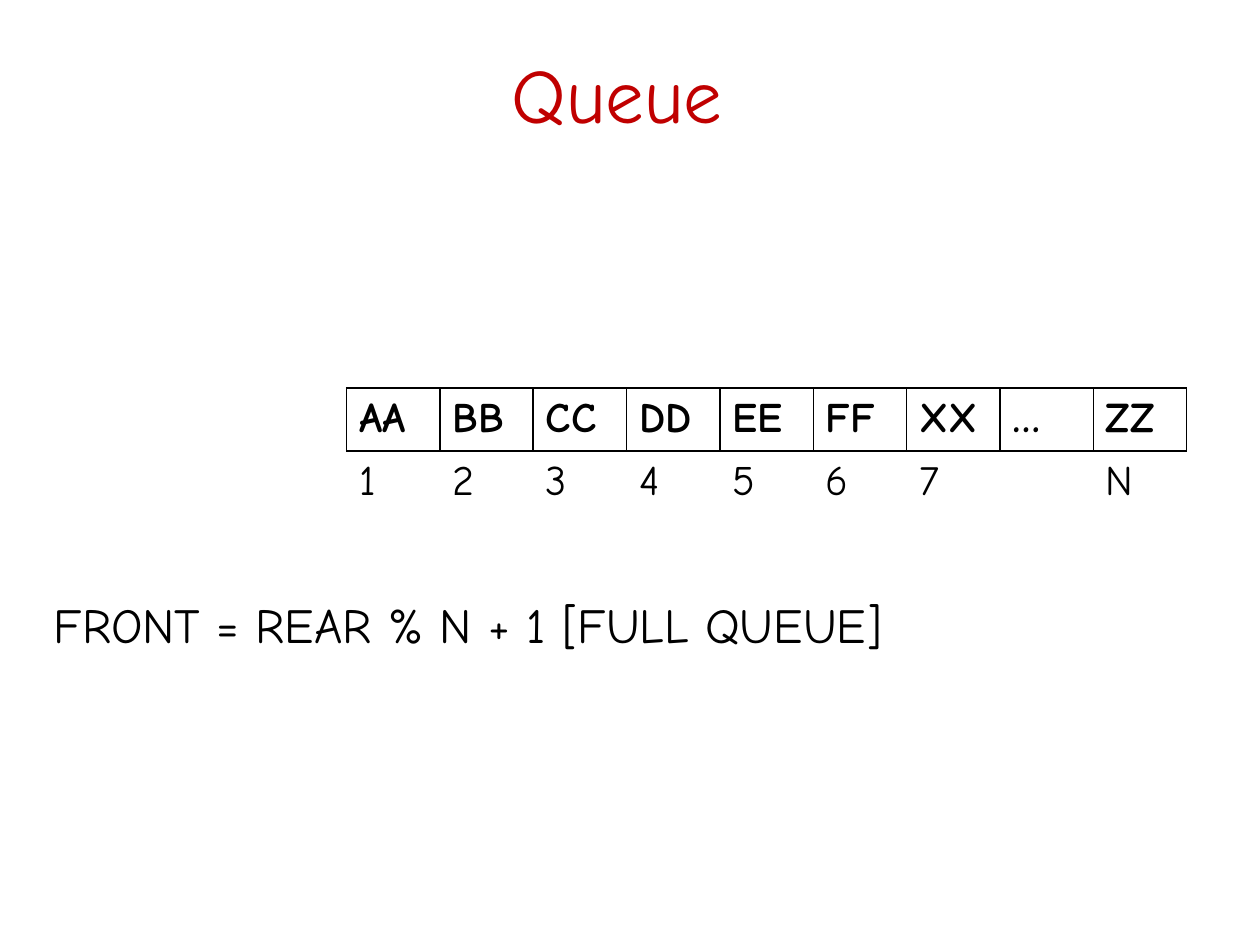
from lxml.etree import SubElement
from pptx import Presentation
from pptx.dml.color import RGBColor
from pptx.enum.text import MSO_ANCHOR as Anchor, PP_ALIGN as Align
from pptx.oxml.ns import qn
from pptx.util import Inches, Pt

BLACK = "000000"
RED = "C00000"


def colour(value):
    return RGBColor.from_string(value)


class SlideBuilder:
    """Holds the text style and the slide being filled."""

    font_name = "Comic Neue"

    def __init__(self, slide):
        self.slide = slide

    def run(self, paragraph, text, size, color=BLACK, bold=False):
        run = paragraph.add_run()
        run.text = text
        run.font.name = self.font_name
        run.font.size = Pt(size)
        run.font.bold = bold
        run.font.color.rgb = colour(color)

    def text(self, text, left, top, width, height, size, color=BLACK,
             align=Align.LEFT, anchor=Anchor.TOP):
        box = self.slide.shapes.add_textbox(
            Inches(left), Inches(top), Inches(width), Inches(height))
        frame = box.text_frame
        frame.word_wrap = True
        frame.vertical_anchor = anchor
        paragraph = frame.paragraphs[0]
        paragraph.alignment = align
        self.run(paragraph, text, size, color)

    def borders(self, cell, visible_sides):
        properties = cell._tc.get_or_add_tcPr()
        for index, side in enumerate("LRTB"):
            line = SubElement(properties, qn(f"a:ln{side}"), w=str(Pt(1)))
            if side in visible_sides:
                fill = SubElement(line, qn("a:solidFill"))
                SubElement(fill, qn("a:srgbClr"), val=BLACK)
            else:
                SubElement(line, qn("a:noFill"))
            properties.insert(index, line)

    def queue_table(self, rows, left, top, width, row_height, size):
        columns = len(rows[0])
        table = self.slide.shapes.add_table(
            len(rows), columns, Inches(left), Inches(top),
            Inches(width), Inches(row_height * len(rows))).table
        table.first_row = False
        table.horz_banding = False
        for row_index, values in enumerate(rows):
            is_item = row_index == 0
            for column_index, value in enumerate(values):
                cell = table.cell(row_index, column_index)
                cell.fill.background()
                self.borders(cell, "LRTB" if is_item else "T")
                if value:
                    paragraph = cell.text_frame.paragraphs[0]
                    self.run(paragraph, value, size, bold=is_item)


def main():
    presentation = Presentation()
    presentation.slide_width = Inches(10)
    presentation.slide_height = Inches(7.5)
    slide = presentation.slides.add_slide(presentation.slide_layouts[6])
    builder = SlideBuilder(slide)

    builder.text("Queue ", 0.5, 0.3, 9, 0.87, 44, RED, Align.CENTER, Anchor.MIDDLE)
    items = ["AA", "BB", "CC", "DD", "EE", "FF", "XX", "…", "ZZ"]
    positions = [str(number) for number in range(1, 8)] + ["", "N"]
    builder.queue_table([items, positions], 2.75, 3.08, 6.67, 0.41, 24)
    builder.text("FRONT = REAR % N + 1 [FULL QUEUE]", 0.33, 4.67, 9.5, 0.57, 28)

    presentation.save("out.pptx")


if __name__ == "__main__":
    main()
